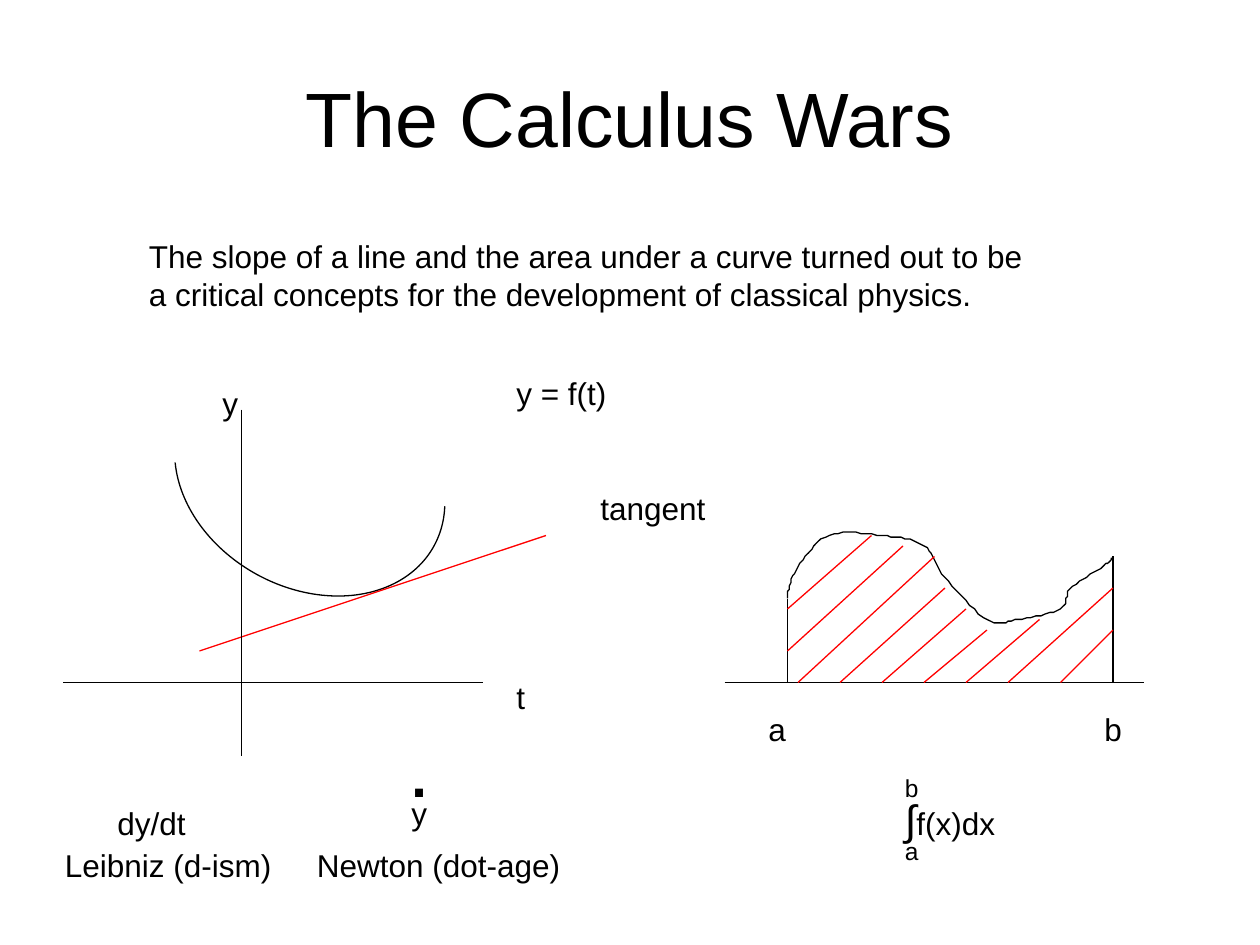
from typing import NamedTuple

from lxml.etree import SubElement
from pptx import Presentation
from pptx.dml.color import RGBColor
from pptx.enum.shapes import MSO_CONNECTOR, MSO_SHAPE
from pptx.enum.text import MSO_ANCHOR, MSO_AUTO_SIZE, PP_ALIGN
from pptx.oxml.ns import qn
from pptx.util import Pt

BLACK = RGBColor(0, 0, 0)
RED = RGBColor(255, 0, 0)
WHITE = RGBColor(255, 255, 255)
FONT = "Arial"
LINE_WIDTH = 0.74
BASELINE = 390
AREA_LEFT, AREA_RIGHT = 450, 636


class Label(NamedTuple):
    text: str
    left: float
    top: float
    width: float
    height: float = 29
    size: float = 18
    bold: bool = False


class Segment(NamedTuple):
    x1: float
    y1: float
    x2: float
    y2: float
    color: RGBColor = BLACK


LABELS = [
    Label("The slope of a line and the area under a curve turned out to be "
          "a critical concepts for the development of classical physics.",
          78, 132, 516, 50),
    Label("t", 288, 384, 48),
    Label("y", 120, 216, 24),
    Label("y = f(t)", 288, 210, 96),
    Label("tangent", 336, 276, 150),
    Label("dy/dt", 60, 456, 84),
    Label("Leibniz (d-ism)", 30, 480, 204),
    Label("y", 228, 450, 36),
    Label(".", 228, 420, 30, 46, 32, True),
    Label("Newton (dot-age)", 174, 480, 204),
    Label("a", 432, 402, 36),
    Label("b", 624, 402, 30),
    Label("a", 510, 474, 60, 24.5, 14),
    Label("b", 510, 438, 60, 24.5, 14),
]

TANGENT = Segment(114, 372, 312, 306, RED)
GRAPH_AXES = [Segment(138, 234, 138, 432), Segment(36, BASELINE, 276, BASELINE)]
AREA_EDGES = [
    Segment(414, BASELINE, 654, BASELINE),
    Segment(AREA_LEFT, 342, AREA_LEFT, BASELINE),
    Segment(AREA_RIGHT, 318, AREA_RIGHT, BASELINE),
]
HATCHING = [Segment(*ends, RED) for ends in [
    (456, BASELINE, 534, 318), (480, BASELINE, 540, 336),
    (504, BASELINE, 552, 348), (528, BASELINE, 564, 360),
    (552, BASELINE, 594, 354), (576, BASELINE, AREA_RIGHT, 336),
    (606, BASELINE, AREA_RIGHT, 360),
    (AREA_LEFT, 348, 498, 306), (AREA_LEFT, 372, 516, 312),
]]

# Each Bezier piece: two control points and an end point
CURVE_START = (AREA_LEFT, 342)
CURVE_PIECES = [
    ((450.5, 336), (452, 330), (456, 324)),
    ((460, 318), (466, 309), (474, 306)),
    ((482, 303), (495, 305), (504, 306)),
    ((513, 307), (522, 308), (528, 312)),
    ((534, 316), (534, 323), (540, 330)),
    ((546, 337), (557, 350), (564, 354)),
    ((571, 358), (575, 355), (582, 354)),
    ((589, 353), (601, 351), (606, 348)),
    ((611, 345), (608, 340), (612, 336)),
    ((616, 332), (626, 327), (630, 324)),
    ((634, 321), (635, 320), (AREA_RIGHT, 318)),
]
STEPS = 10

presentation = Presentation()
presentation.slide_width, presentation.slide_height = Pt(720), Pt(540)
slide = presentation.slides.add_slide(presentation.slide_layouts[6])
shapes = slide.shapes


def style_font(font, size: float, bold: bool = False) -> None:
    font.name, font.size, font.bold = FONT, Pt(size), bold
    font.color.rgb = BLACK


def add_label(label: Label):
    box = shapes.add_textbox(Pt(label.left), Pt(label.top),
                             Pt(label.width), Pt(label.height))
    frame = box.text_frame
    frame.word_wrap = True
    frame.auto_size = MSO_AUTO_SIZE.SHAPE_TO_FIT_TEXT
    paragraph = frame.paragraphs[0]
    paragraph.text = label.text
    paragraph.space_before = Pt(label.size * 0.625)
    style_font(paragraph.font, label.size, label.bold)
    return box


def add_segment(segment: Segment) -> None:
    line = shapes.add_connector(MSO_CONNECTOR.STRAIGHT, Pt(segment.x1), Pt(segment.y1),
                                Pt(segment.x2), Pt(segment.y2))
    line.line.color.rgb = segment.color
    line.line.width = Pt(LINE_WIDTH)
    SubElement(line._element.spPr, qn("a:effectLst"))


def outline(shape, color: RGBColor) -> None:
    shape.shadow.inherit = False
    shape.line.color.rgb = color
    shape.line.width = Pt(LINE_WIDTH)


def bezier_points(start: tuple, pieces: list) -> list:
    points = []
    for first, second, end in pieces:
        for step in range(1, STEPS + 1):
            t = step / STEPS
            u = 1 - t
            points.append(tuple(
                u**3 * p + 3 * u * u * t * q + 3 * u * t * t * r + t**3 * s
                for p, q, r, s in zip(start, first, second, end)))
        start = end
    return points


# Title
title = add_label(Label("The Calculus Wars", 36, 21.6, 648, 90, 44))
title.text_frame.auto_size = MSO_AUTO_SIZE.NONE
title.text_frame.vertical_anchor = MSO_ANCHOR.MIDDLE
title.text_frame.paragraphs[0].alignment = PP_ALIGN.CENTER
title.text_frame.paragraphs[0].space_before = Pt(0)

# Slope graph: the mask leaves only the lower arc of the ellipse
ellipse = shapes.add_shape(MSO_SHAPE.OVAL, Pt(96), Pt(210), Pt(162), Pt(126))
ellipse.rotation = 28.8
ellipse.fill.background()
outline(ellipse, BLACK)
add_segment(TANGENT)
mask = shapes.add_shape(MSO_SHAPE.RECTANGLE, Pt(69), Pt(198), Pt(217.5), Pt(78))
mask.rotation = 9.2
mask.fill.solid()
mask.fill.fore_color.rgb = WHITE
outline(mask, WHITE)
for axis in GRAPH_AXES:
    add_segment(axis)

# Area under the curve
builder = shapes.build_freeform(*CURVE_START, scale=Pt(1))
builder.add_line_segments(bezier_points(CURVE_START, CURVE_PIECES), close=False)
curve = builder.convert_to_shape()
curve.fill.background()
outline(curve, BLACK)
for segment in AREA_EDGES + HATCHING:
    add_segment(segment)

# Labels and notation
for label in LABELS:
    add_label(label)

# Integral with a larger sign
integral = add_label(Label("∫", 510, 450, 156, 36, 24))
integrand = integral.text_frame.paragraphs[0].add_run()
integrand.text = "f(x)dx"
style_font(integrand.font, 18)

presentation.save("out.pptx")
